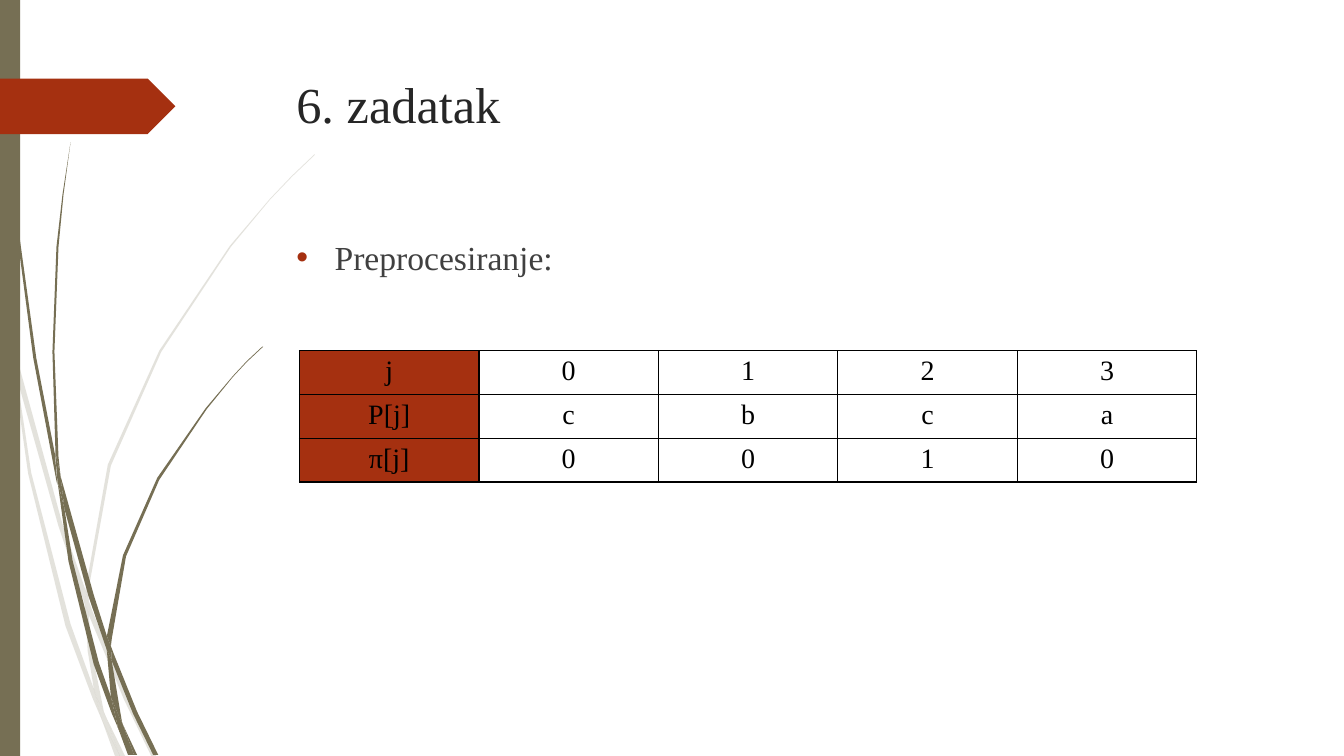
from dataclasses import dataclass

from lxml import etree
from pptx import Presentation
from pptx import util as u
from pptx.dml.color import RGBColor
from pptx.enum import shapes, text
from pptx.oxml.ns import qn


@dataclass(frozen=True)
class Theme:
    """Colours, font and type sizes of the slide."""
    olive: str = "766F54"
    rust: str = "A53010"
    title: str = "262626"
    body: str = "404040"
    black: str = "000000"
    font: str = "Times New Roman"
    title_size: int = 36
    body_size: int = 24
    cell_size: int = 20
    pale_opacity: int = 20


PALE_GRASS = [
    [(11, 350), (9, 322), (0, 282), (0, 299), (10, 344)],
    [(58, 522), (84, 599), (85, 586), (62, 520), (14, 345), (17, 376)],
    [(92, 607), (88, 596), (88, 610), (123, 694), (150, 750), (155, 750), (127, 692)],
    [(119, 750), (124, 750), (105, 711)],
    [(93, 683), (70, 619), (31, 469), (17, 376), (11, 350), (28, 470), (65, 621),
     (92, 693), (101, 714), (99, 707)],
    [(84, 599), (87, 646), (93, 683), (96, 692), (105, 711), (103, 706), (91, 646),
     (88, 610), (88, 608)],
    [(88, 584), (110, 462), (160, 349), (229, 245), (268, 198), (290, 175), (312, 154),
     (312, 153), (289, 175), (268, 197), (228, 244), (158, 348), (107, 461), (85, 584),
     (85, 586), (88, 596)],
    [(101, 714), (114, 750), (119, 750)],
    [(88, 608), (88, 610), (88, 596), (85, 586), (84, 599)],
    [(96, 692), (93, 683), (99, 707), (101, 714), (119, 750), (105, 711)],
]
DARK_GRASS = [
    [(7, 110), (17, 233), (33, 355), (56, 477), (57, 481), (55, 457), (55, 453),
     (36, 355), (19, 232), (8, 109), (5, 48), (4, 0), (3, 0), (4, 48)],
    [(88, 592), (106, 645), (106, 633), (106, 631), (93, 590), (60, 472), (64, 505)],
    [(113, 649), (110, 641), (111, 656), (132, 708), (152, 749), (157, 749), (136, 706)],
    [(110, 691), (98, 657), (72, 556), (64, 505), (57, 477), (68, 557), (93, 659),
     (111, 708), (117, 722), (116, 717)],
    [(60, 472), (58, 453), (54, 349), (58, 245), (63, 193), (70, 141), (62, 193),
     (56, 245), (52, 349), (55, 449)],
    [(133, 749), (136, 749), (122, 719)],
    [(57, 477), (64, 505), (60, 472), (55, 449), (55, 453)],
    [(111, 633), (125, 552), (158, 476), (205, 406), (231, 374), (245, 359), (261, 344),
     (260, 344), (245, 358), (231, 373), (204, 405), (156, 474), (122, 551), (106, 631),
     (110, 641)],
    [(117, 722), (127, 749), (131, 749)],
    [(106, 645), (110, 691), (116, 706), (122, 719), (121, 716), (111, 656), (109, 651)],
    [(106, 645), (109, 651), (111, 656), (110, 641), (106, 631), (106, 633)],
    [(116, 706), (110, 691), (116, 717), (117, 722), (130, 749), (133, 749), (122, 719)],
]
PREFIX_TABLE = [
    ["j", "0", "1", "2", "3"],
    ["P[j]", "c", "b", "c", "a"],
    ["π[j]", "0", "0", "1", "0"],
]


def write(frame, words, *, font, size, color, align=text.PP_ALIGN.LEFT, before=0):
    """Put one formatted paragraph in a text frame and return it."""
    paragraph = frame.paragraphs[0]
    paragraph.alignment = align
    paragraph.space_before = u.Pt(before)
    run = paragraph.add_run()
    run.text = words
    run.font.name = font
    run.font.size = u.Pt(size)
    run.font.color.rgb = RGBColor.from_string(color)
    return paragraph


class SlideBuilder:
    """Draws styled elements on the current slide."""

    def __init__(self, slide, theme):
        self.slide = slide
        self.theme = theme

    def paint(self, shape, color):
        shape.shadow.inherit = False
        shape.fill.solid()
        shape.fill.fore_color.rgb = RGBColor.from_string(color)
        shape.line.fill.background()

    def grass(self, blades, opacity=100):
        tuft = self.slide.shapes.add_group_shape()
        for start, *rest in blades:
            outline = tuft.shapes.build_freeform(*start, scale=u.Inches(0.01))
            outline.add_line_segments(rest, close=True)
            blade = outline.convert_to_shape()
            self.paint(blade, self.theme.olive)
            if opacity < 100:
                tint = blade.element.xpath("./p:spPr/a:solidFill/a:srgbClr")[0]
                etree.SubElement(tint, qn("a:alpha"), val=str(opacity * 1000))

    def block(self, kind, box, color):
        shape = self.slide.shapes.add_shape(kind, *map(u.Inches, box))
        self.paint(shape, color)

    def words(self, box, content, **style):
        frame = self.slide.shapes.add_textbox(*map(u.Inches, box)).text_frame
        frame.word_wrap = True
        return write(frame, content, font=self.theme.font, **style)

    def bullet(self, box, content, **style):
        props = self.words(box, content, **style)._p.get_or_add_pPr()
        indent = u.Inches(0.38)
        props.set("marL", str(indent))
        props.set("indent", str(-indent))
        tint = etree.SubElement(props, qn("a:buClr"))
        etree.SubElement(tint, qn("a:srgbClr"), val=self.theme.rust)
        etree.SubElement(props, qn("a:buFont"), typeface="Arial")
        etree.SubElement(props, qn("a:buChar"), char="•")

    def border(self, cell):
        props = cell._tc.get_or_add_tcPr()
        for side in ("a:lnL", "a:lnR", "a:lnT", "a:lnB"):
            edge = etree.SubElement(props, qn(side), w=str(u.Pt(1)))
            solid = etree.SubElement(edge, qn("a:solidFill"))
            etree.SubElement(solid, qn("a:srgbClr"), val=self.theme.black)

    def table(self, left, top, column_width, row_height, rows):
        width, height = column_width * len(rows[0]), row_height * len(rows)
        grid = self.slide.shapes.add_table(
            len(rows), len(rows[0]), *map(u.Inches, (left, top, width, height))).table
        grid.first_row = grid.horz_banding = False
        for column in grid.columns:
            column.width = u.Inches(column_width)
        for r, row in enumerate(rows):
            grid.rows[r].height = u.Inches(row_height)
            for c, content in enumerate(row):
                cell = grid.cell(r, c)
                self.border(cell)
                if c == 0:
                    cell.fill.solid()
                    cell.fill.fore_color.rgb = RGBColor.from_string(self.theme.rust)
                else:
                    cell.fill.background()
                write(cell.text_frame, content, font=self.theme.font,
                      size=self.theme.cell_size, color=self.theme.black,
                      align=text.PP_ALIGN.CENTER)


def main():
    """Build the slide and save it."""
    deck = Presentation()
    deck.slide_width, deck.slide_height = u.Inches(13.33), u.Inches(7.5)
    theme = Theme()
    page = SlideBuilder(deck.slides.add_slide(deck.slide_layouts[6]), theme)
    page.grass(PALE_GRASS, opacity=theme.pale_opacity)
    page.grass(DARK_GRASS)
    page.block(shapes.MSO_SHAPE.RECTANGLE, (0, 0, 0.2, 7.5), theme.olive)
    page.block(shapes.MSO_SHAPE.PENTAGON, (0, 0.78, 1.74, 0.55), theme.rust)
    page.words((2.84, 0.68, 9.75, 1.4), "6. zadatak",
               size=theme.title_size, color=theme.title)
    page.bullet((2.84, 2.3, 9.75, 4.13), "Preprocesiranje:",
                size=theme.body_size, color=theme.body, before=10)
    page.table(2.97, 3.48, 1.78, 0.41, PREFIX_TABLE)
    deck.save("out.pptx")


if __name__ == "__main__":
    main()
